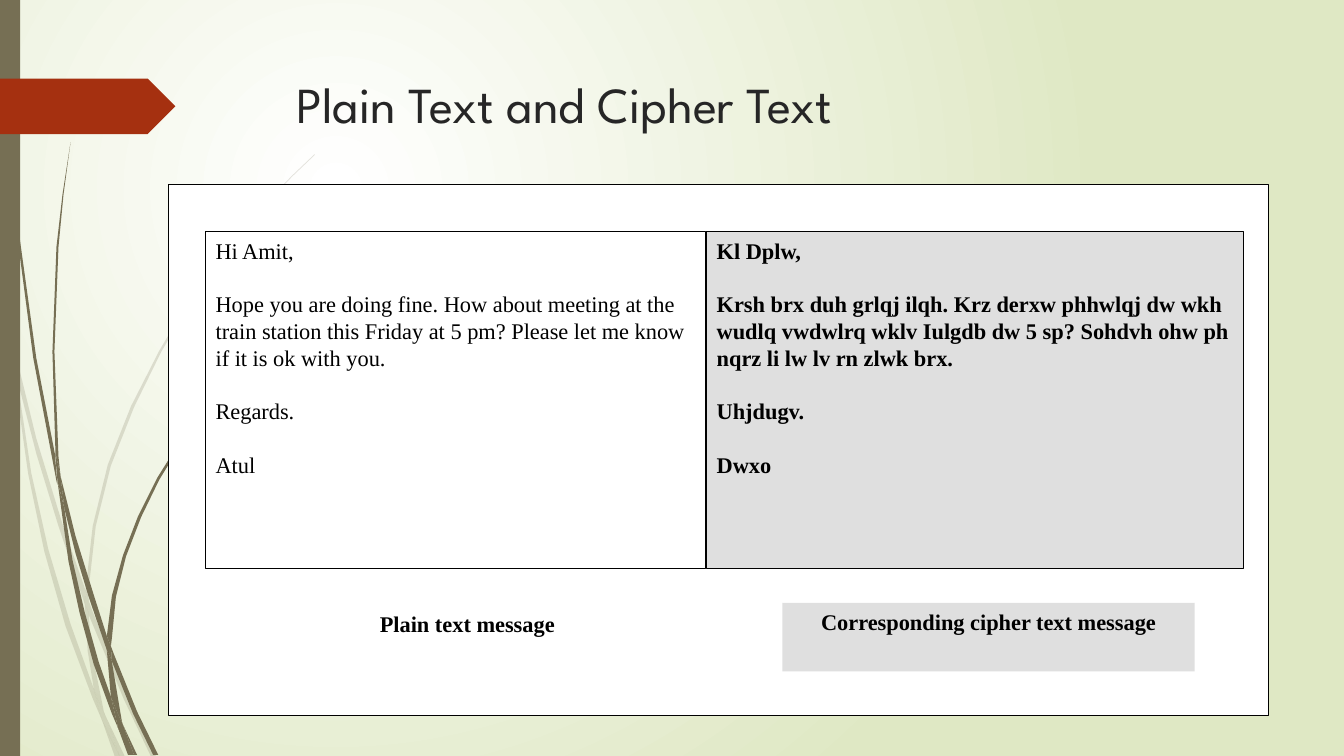
"""Build the slide comparing a plain text message with its cipher text."""
from dataclasses import dataclass

from lxml.etree import SubElement
from pptx import Presentation
from pptx.dml.color import RGBColor
from pptx.enum.shapes import MSO_SHAPE
from pptx.enum.text import MSO_ANCHOR, PP_ALIGN
from pptx.oxml.ns import qn
from pptx.util import Inches, Pt

Points = tuple[tuple[float, float], ...]


@dataclass(frozen=True)
class Theme:
    """Colours, fonts and type sizes of the slide."""
    olive: RGBColor = RGBColor(0x76, 0x6F, 0x54)
    red: RGBColor = RGBColor(0xA5, 0x30, 0x10)
    pale_green: RGBColor = RGBColor(0xDF, 0xE8, 0xC4)
    white: RGBColor = RGBColor(0xFF, 0xFF, 0xFF)
    black: RGBColor = RGBColor(0, 0, 0)
    silver: RGBColor = RGBColor(0xC0, 0xC0, 0xC0)
    title_ink: RGBColor = RGBColor(0x26, 0x26, 0x26)
    title_font: str = "League Spartan"
    body_font: str = "Times New Roman"
    title_size: Pt = Pt(36)
    body_size: Pt = Pt(16)
    paragraph_gap: Pt = Pt(19)
    border: Pt = Pt(0.75)


@dataclass(frozen=True)
class Box:
    """A rectangle in inches with its look and its paragraphs."""
    left: float
    top: float
    width: float
    height: float
    fill: RGBColor
    opacity: int = 100
    bordered: bool = False
    paragraphs: tuple[str, ...] = ()
    bold: bool = False
    alignment: PP_ALIGN = PP_ALIGN.LEFT
    preset: MSO_SHAPE = MSO_SHAPE.RECTANGLE


THEME = Theme()

PALE_BLADES: tuple[Points, ...] = (
    ((0.11, 3.5), (0.09, 3.22), (0, 2.82), (0, 2.99), (0.1, 3.44)),
    ((0.58, 5.22), (0.84, 5.99), (0.85, 5.86), (0.62, 5.2), (0.36, 4.35), (0.14, 3.45),
     (0.17, 3.76), (0.36, 4.5)),
    ((0.92, 6.07), (0.88, 5.96), (0.88, 6.1), (1.23, 6.94), (1.5, 7.51), (1.55, 7.51),
     (1.27, 6.92)),
    ((1.19, 7.51), (1.24, 7.51), (1.05, 7.11)),
    ((0.93, 6.83), (0.7, 6.19), (0.48, 5.45), (0.31, 4.69), (0.17, 3.76), (0.11, 3.5),
     (0.28, 4.7), (0.44, 5.47), (0.65, 6.21), (0.92, 6.93), (1.01, 7.14), (0.99, 7.07)),
    ((0.84, 5.99), (0.87, 6.46), (0.93, 6.83), (0.96, 6.92), (1.05, 7.11), (1.03, 7.06),
     (0.91, 6.46), (0.88, 6.1), (0.88, 6.08)),
    ((0.88, 5.84), (0.95, 5.22), (1.1, 4.62), (1.33, 4.04), (1.6, 3.49), (1.92, 2.95),
     (2.29, 2.45), (2.68, 1.98), (2.9, 1.75), (3.12, 1.54), (3.12, 1.53), (2.89, 1.75),
     (2.68, 1.97), (2.28, 2.44), (1.9, 2.94), (1.58, 3.48), (1.3, 4.03), (1.07, 4.61),
     (0.92, 5.22), (0.85, 5.84), (0.85, 5.86), (0.88, 5.96)),
    ((1.01, 7.14), (1.14, 7.51), (1.19, 7.51)),
    ((0.88, 6.08), (0.88, 6.1), (0.88, 5.96), (0.85, 5.86), (0.84, 5.99)),
    ((0.96, 6.92), (0.93, 6.83), (0.99, 7.07), (1.01, 7.14), (1.19, 7.51), (1.05, 7.11)),
)

DARK_BLADES: tuple[Points, ...] = (
    ((0.07, 1.1), (0.17, 2.33), (0.33, 3.55), (0.56, 4.77), (0.57, 4.81), (0.55, 4.57),
     (0.55, 4.53), (0.36, 3.55), (0.19, 2.32), (0.08, 1.09), (0.05, 0.48), (0.04, 0),
     (0.03, 0), (0.04, 0.48)),
    ((0.88, 5.92), (1.06, 6.45), (1.06, 6.31), (0.93, 5.9), (0.75, 5.32), (0.6, 4.72),
     (0.64, 5.05), (0.75, 5.49)),
    ((1.13, 6.49), (1.1, 6.41), (1.11, 6.56), (1.32, 7.08), (1.52, 7.49), (1.57, 7.49),
     (1.36, 7.06)),
    ((1.1, 6.91), (0.98, 6.57), (0.84, 6.07), (0.72, 5.56), (0.64, 5.05), (0.57, 4.77),
     (0.68, 5.57), (0.79, 6.08), (0.93, 6.59), (1.11, 7.08), (1.17, 7.22), (1.16, 7.17)),
    ((0.6, 4.72), (0.58, 4.53), (0.54, 3.49), (0.58, 2.45), (0.63, 1.93), (0.7, 1.41),
     (0.62, 1.93), (0.56, 2.45), (0.52, 3.49), (0.55, 4.49)),
    ((1.33, 7.49), (1.36, 7.49), (1.22, 7.19)),
    ((0.57, 4.77), (0.64, 5.05), (0.6, 4.72), (0.55, 4.49), (0.55, 4.53)),
    ((1.11, 6.33), (1.15, 5.92), (1.25, 5.52), (1.4, 5.13), (1.58, 4.76), (1.8, 4.4),
     (2.05, 4.06), (2.31, 3.74), (2.45, 3.59), (2.61, 3.44), (2.6, 3.44), (2.45, 3.58),
     (2.31, 3.73), (2.04, 4.05), (1.78, 4.39), (1.56, 4.74), (1.37, 5.12), (1.22, 5.51),
     (1.11, 5.91), (1.06, 6.31), (1.1, 6.41)),
    ((1.17, 7.22), (1.27, 7.49), (1.31, 7.49)),
    ((1.06, 6.45), (1.1, 6.91), (1.16, 7.06), (1.22, 7.19), (1.21, 7.16), (1.11, 6.56),
     (1.09, 6.51)),
    ((1.06, 6.45), (1.09, 6.51), (1.11, 6.56), (1.1, 6.41), (1.06, 6.31)),
    ((1.16, 7.06), (1.1, 6.91), (1.16, 7.17), (1.17, 7.22), (1.3, 7.49), (1.33, 7.49),
     (1.22, 7.19)),
)

EDGE_BOXES = (
    Box(0, 0, 0.2, 7.5, THEME.olive),
    Box(0, 0.78, 1.74, 0.55, THEME.red, preset=MSO_SHAPE.PENTAGON),
)

MESSAGE_BOXES = (
    Box(1.67, 1.83, 10.91, 5.27, THEME.white, bordered=True),
    Box(2.04, 2.3, 4.96, 3.34, THEME.white, bordered=True, paragraphs=(
        "Hi Amit,",
        "Hope you are doing fine. How about meeting at the train station this Friday "
        "at 5 pm? Please let me know if it is ok with you.",
        "Regards.",
        "Atul")),
    Box(7.01, 2.3, 5.32, 3.34, THEME.silver, 50, bordered=True, bold=True, paragraphs=(
        "Kl Dplw,",
        "Krsh brx duh grlqj ilqh. Krz derxw phhwlqj dw wkh wudlq vwdwlrq wklv Iulgdb "
        "dw 5 sp? Sohdvh ohw ph nqrz li lw lv rn zlwk brx.",
        "Uhjdugv.",
        "Dwxo")),
    Box(3.13, 6, 3.01, 0.68, THEME.white, bold=True, alignment=PP_ALIGN.CENTER,
        paragraphs=("Plain text message",)),
    Box(7.76, 5.98, 4.09, 0.68, THEME.silver, 50, bold=True, alignment=PP_ALIGN.CENTER,
        paragraphs=("Corresponding cipher text message",)),
)


def paint(shape, color: RGBColor, opacity: int = 100, bordered: bool = False) -> None:
    """Set the fill, its opacity in percent, and the outline of a shape."""
    shape.shadow.inherit = False
    shape.fill.solid()
    shape.fill.fore_color.rgb = color
    if opacity < 100:
        color_element = shape.element.spPr.find(qn("a:solidFill"))[0]
        SubElement(color_element, qn("a:alpha"), val=str(opacity * 1000))
    if bordered:
        shape.line.color.rgb = THEME.black
        shape.line.width = THEME.border
    else:
        shape.line.fill.background()


def draw_background(slide) -> None:
    """Fill the background with a round gradient from white to pale green."""
    fill = slide.background.fill
    fill.gradient()
    for stop, color in zip(fill.gradient_stops, (THEME.white, THEME.pale_green)):
        stop.color.rgb = color
    gradient = slide.element.find(".//" + qn("a:gradFill"))
    gradient.remove(gradient.find(qn("a:lin")))
    circle = SubElement(gradient, qn("a:path"), {"path": "circle"})
    SubElement(circle, qn("a:fillToRect"), l="50000", t="50000", r="100000", b="100000")


def draw_blades(slide, blades: tuple[Points, ...], opacity: int) -> None:
    """Draw one group of grass blades."""
    group = slide.shapes.add_group_shape()
    for blade in blades:
        corners = [(Inches(x), Inches(y)) for x, y in blade]
        builder = group.shapes.build_freeform(*corners[0])
        builder.add_line_segments(corners[1:])
        paint(builder.convert_to_shape(), THEME.olive, opacity)


def draw_box(shapes, box: Box) -> None:
    """Draw one box with its paragraphs."""
    shape = shapes.add_shape(box.preset, Inches(box.left), Inches(box.top),
                             Inches(box.width), Inches(box.height))
    paint(shape, box.fill, box.opacity, box.bordered)
    frame = shape.text_frame
    frame.word_wrap = True
    frame.vertical_anchor = MSO_ANCHOR.TOP
    for index, text in enumerate(box.paragraphs):
        paragraph = frame.add_paragraph() if index else frame.paragraphs[0]
        paragraph.text = text
        paragraph.alignment = box.alignment
        paragraph.space_before = THEME.paragraph_gap if index else Pt(0)
        font = paragraph.font
        font.name, font.size, font.bold = THEME.body_font, THEME.body_size, box.bold
        font.color.rgb = THEME.black


def draw_title(slide, text: str) -> None:
    """Place and format the title."""
    title = slide.shapes.title
    title.left, title.top = Inches(2.84), Inches(0.68)
    title.width, title.height = Inches(9.75), Inches(1.4)
    title.text_frame.text = text
    title.text_frame.vertical_anchor = MSO_ANCHOR.TOP
    paragraph = title.text_frame.paragraphs[0]
    paragraph.alignment = PP_ALIGN.LEFT
    paragraph.font.name, paragraph.font.size = THEME.title_font, THEME.title_size
    paragraph.font.color.rgb = THEME.title_ink


def main() -> None:
    """Build and save the presentation."""
    presentation = Presentation()
    presentation.slide_width, presentation.slide_height = Inches(13.33), Inches(7.5)
    slide = presentation.slides.add_slide(presentation.slide_layouts[5])
    draw_background(slide)
    draw_title(slide, "Plain Text and Cipher Text")
    draw_blades(slide, PALE_BLADES, 20)
    draw_blades(slide, DARK_BLADES, 100)
    for box in EDGE_BOXES:
        draw_box(slide.shapes, box)
    message_group = slide.shapes.add_group_shape()
    for box in MESSAGE_BOXES:
        draw_box(message_group.shapes, box)
    presentation.save("out.pptx")


if __name__ == "__main__":
    main()
